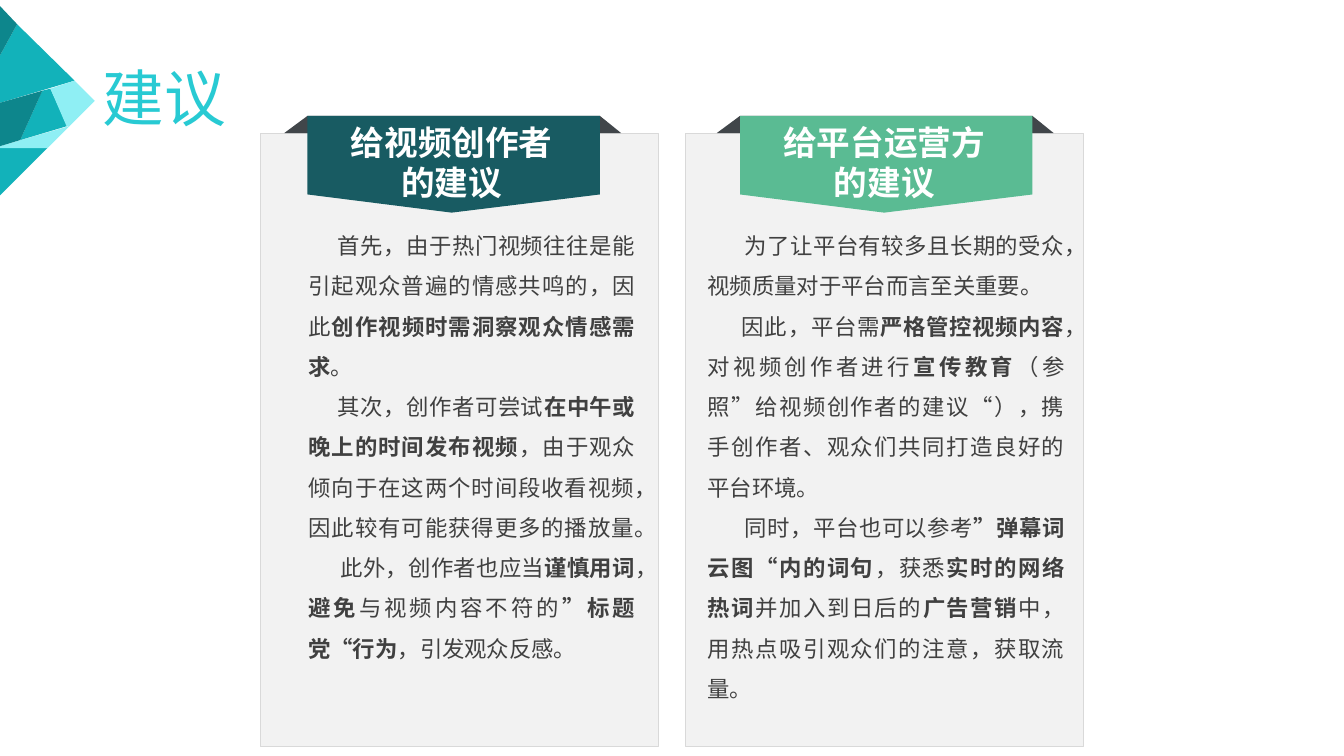
from lxml import etree
from pptx import Presentation
from pptx import util as u
from pptx.dml.color import RGBColor
from pptx.enum import shapes, text
from pptx.oxml import ns

COLORS = {
    "teal": "12B2BA", "deep": "0D868C", "ice": "8FEFF4", "title": "28CAD3",
    "panel": "F2F2F2", "edge": "D9D9D9", "fold": "41464A",
    "pine": "185B62", "mint": "5ABB93", "white": "FFFFFF", "ink": "404040",
}
CJK = "Noto Sans CJK SC"

GEM = [
    ("teal", [(0, 1.47), (0.47, 1.47), (0, 1.94)]),
    ("teal", [(0.17, 0.24), (0.74, 0.8), (0, 1.02), (0, 0.55)]),
    ("deep", [(0, 0.06), (0.17, 0.24), (0, 0.55)]),
    ("ice", [(0.69, 1.25), (0.47, 1.47), (0, 1.47), (0, 1.45)]),
    ("teal", [(0.5, 0.88), (0.67, 1.25), (0.2, 1.39), (0.42, 0.9)]),
    ("ice", [(0.74, 0.8), (0.94, 1), (0.69, 1.25), (0.66, 1.25), (0.5, 0.88)]),
    ("deep", [(0.42, 0.9), (0.2, 1.39), (0, 1.45), (0, 1.02)]),
]

# Each paragraph is its first-line indent, then spans that alternate regular and bold.
CREATOR_ADVICE = [
    (0.29, ["首先，由于热门视频往往是能引起观众普遍的情感共鸣的，因此",
            "创作视频时需洞察观众情感需求", "。"]),
    (0.29, ["其次，创作者可尝试", "在中午或晚上的时间发布视频",
            "，由于观众倾向于在这两个时间段收看视频，因此较有可能获得更多的播放量。"]),
    (0.32, ["此外，创作者也应当", "谨慎用词", "，", "避免", "与视频内容不符的",
            "”标题党“行为", "，引发观众反感。"]),
]
PLATFORM_ADVICE = [
    (0.37, ["为了让平台有较多且长期的受众，视频质量对于平台而言至关重要。"]),
    (0.34, ["因此，平台需", "严格管控视频内容", "，对视频创作者进行", "宣传教育",
            "（参照”给视频创作者的建议“），携手创作者、观众们共同打造良好的平台环境。"]),
    (0.37, ["同时，平台也可以参考", "”弹幕词云图“内的词句", "，获悉", "实时的网络热词",
            "并加入到日后的", "广告营销", "中，用热点吸引观众们的注意，获取流量。"]),
]


def rgb(name):
    return RGBColor.from_string(COLORS[name])


def add_polygon(page, points, color):
    emu = [(u.Inches(x), u.Inches(y)) for x, y in points]
    builder = page.shapes.build_freeform(*emu[0])
    builder.add_line_segments(emu[1:], close=True)
    shape = builder.convert_to_shape()
    shape.shadow.inherit = False
    shape.fill.solid()
    shape.fill.fore_color.rgb = rgb(color)
    shape.line.fill.background()


def add_text(page, box, paragraphs, *, size, color, font=CJK, bold=False,
             align=text.PP_ALIGN.LEFT, anchor=text.MSO_ANCHOR.TOP, spacing=1.0):
    """Place paragraphs given as (first-line indent, spans); every second span is bold."""
    frame = page.shapes.add_textbox(*map(u.Inches, box)).text_frame
    frame.word_wrap = True
    frame.vertical_anchor = anchor
    for i, (indent, spans) in enumerate(paragraphs):
        para = frame.paragraphs[0] if i == 0 else frame.add_paragraph()
        para.alignment = align
        para.line_spacing = spacing
        if indent:
            para._p.get_or_add_pPr().set("indent", str(u.Inches(indent)))
        for j, words in enumerate(spans):
            span = para.add_run()
            span.text = words
            span.font.size = u.Pt(size)
            span.font.bold = bold or j % 2 == 1
            span.font.color.rgb = rgb(color)
            span.font.name = font
            if font == CJK:
                east = etree.SubElement(span._r.get_or_add_rPr(), ns.qn("a:ea"))
                east.set("typeface", font)


def add_title(page, box, words):
    for color, points in GEM:
        add_polygon(page, points, color)
    add_text(page, box, [(0, [words])], size=44, color="title", font="Arial",
             anchor=text.MSO_ANCHOR.MIDDLE, spacing=0.9)


def add_panel(page, box):
    panel = page.shapes.add_shape(shapes.MSO_SHAPE.RECTANGLE, *map(u.Inches, box))
    panel.shadow.inherit = False
    panel.fill.solid()
    panel.fill.fore_color.rgb = rgb("panel")
    panel.line.color.rgb = rgb("edge")
    panel.line.width = u.Pt(0.75)


def add_ribbon(page, box, color, heading):
    """Pointed banner whose folded corners reach behind the panel below it."""
    left, top, width, height = box
    right, fold, shoulder = left + width, top + 0.17, top + 0.78
    tip = left + 1.43
    add_polygon(page, [(left, top), (right, top), (right + 0.21, fold),
                       (left - 0.23, fold)], "fold")
    add_polygon(page, [(left, top), (right, top), (right, shoulder),
                       (tip, top + height), (left, shoulder)], color)
    add_text(page, (tip - 1.23, top + 0.01, 2.46, 0.91),
             [(0, [line]) for line in heading], size=24, color="white", bold=True,
             align=text.PP_ALIGN.CENTER)


def add_card(page, box, color, heading, advice, ribbon_inset, body_inset, body_width):
    left, top, width, height = box
    add_panel(page, box)
    add_ribbon(page, (left + ribbon_inset, top - 0.17, 2.9, 0.96), color, heading)
    add_text(page, (left + body_inset, top + 0.8, body_width, height - 0.8), advice,
             size=16, color="ink", align=text.PP_ALIGN.JUSTIFY, spacing=1.5)


def main():
    deck = Presentation()
    deck.slide_width, deck.slide_height = u.Inches(13.33), u.Inches(7.5)
    page = deck.slides.add_slide(deck.slide_layouts[6])
    add_title(page, (0.92, 0.28, 11.5, 1.45), "建议")
    add_card(page, (2.58, 1.32, 3.95, 6.09), "pine", ["给视频创作者", "的建议"],
             CREATOR_ADVICE, ribbon_inset=0.47, body_inset=0.38, body_width=3.44)
    add_card(page, (6.8, 1.32, 3.95, 6.09), "mint", ["给平台运营方", "的建议"],
             PLATFORM_ADVICE, ribbon_inset=0.54, body_inset=0.12, body_width=3.74)
    deck.save("out.pptx")


if __name__ == "__main__":
    main()
